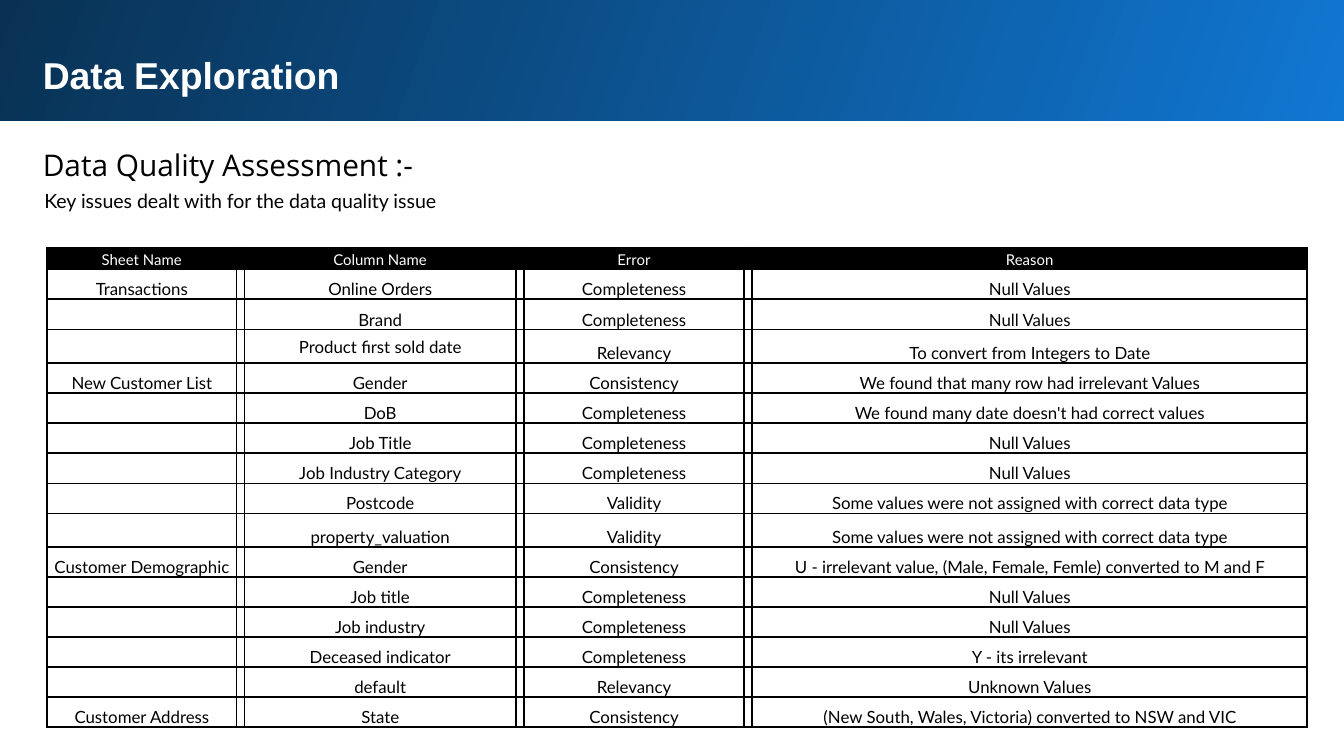
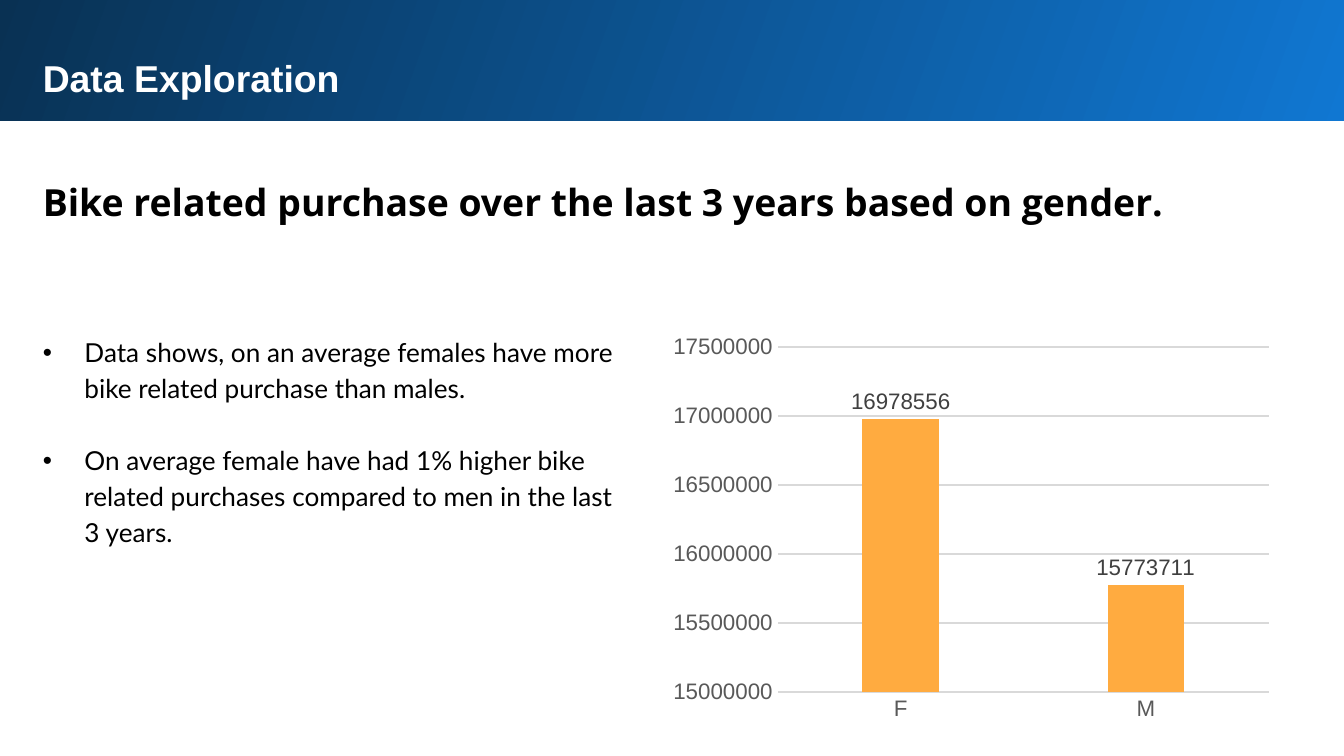
from lxml.etree import SubElement
from pptx import Presentation
from pptx.chart.data import CategoryChartData
from pptx.dml.color import RGBColor
from pptx.enum.chart import XL_CHART_TYPE, XL_LABEL_POSITION, XL_TICK_MARK
from pptx.enum.shapes import MSO_SHAPE
from pptx.enum.text import MSO_ANCHOR, PP_ALIGN
from pptx.oxml.ns import qn
from pptx.util import Inches, Pt

COLORS = {
    "bright": "1077D2", "deep": "093153", "white": "FFFFFF", "black": "000000",
    "bar": "FFAB40", "grid": "D9D9D9", "axis": "595959", "label": "404040",
}
HEADING, BODY, PLAIN = "Open Sans", "Lato", "Arial"


def rgb(name):
    return RGBColor.from_string(COLORS[name])


class Deck:
    """Holds the presentation, its style and the current slide."""

    def __init__(self):
        self.presentation = Presentation()
        self.presentation.slide_width = Inches(10)
        self.presentation.slide_height = Inches(10 * 9 / 16)

    def new_slide(self, title, title_top):
        layout = self.presentation.slide_layouts[6]
        self.slide = self.presentation.slides.add_slide(layout)
        self.band()
        self.text((0.22, title_top, 9.37, 0.51), [title], PLAIN, 20, "white", bold=True)

    def band(self):
        box = map(Inches, (-0.02, -0.02, 10.05, 0.92))
        shape = self.slide.shapes.add_shape(MSO_SHAPE.RECTANGLE, *box)
        shape.shadow.inherit = False
        shape.line.fill.background()
        shape.fill.gradient()
        shape.fill.gradient_angle = 160
        for stop, name in zip(shape.fill.gradient_stops, ("bright", "deep")):
            stop.color.rgb = rgb(name)

    def style_font(self, font, family, size, color, bold=False):
        font.name, font.size, font.bold = family, Pt(size), bold
        font.color.rgb = rgb(color)

    def text(self, box, lines, family, size, color="black", bold=False,
             inset=0.1, spacing=None, bullet_gap=None):
        shape = self.slide.shapes.add_textbox(*map(Inches, box))
        frame = shape.text_frame
        frame.word_wrap = True
        frame.margin_left = frame.margin_right = Inches(inset)
        frame.margin_top = frame.margin_bottom = Inches(inset)
        for index, line in enumerate(lines):
            paragraph = frame.add_paragraph() if index else frame.paragraphs[0]
            paragraph.line_spacing = spacing
            if bullet_gap is not None:
                if index:
                    paragraph.space_before = Pt(bullet_gap)
                self.bullet(paragraph)
            run = paragraph.add_run()
            run.text = line
            self.style_font(run.font, family, size, color, bold)

    def bullet(self, paragraph):
        properties = paragraph._p.get_or_add_pPr()
        properties.set("marL", str(Inches(0.31)))
        properties.set("indent", str(-Inches(0.31)))
        SubElement(properties, qn("a:buFont"), typeface=PLAIN)
        SubElement(properties, qn("a:buChar"), char="•")

    def table(self, left, top, widths, heights, rows):
        """Text goes in every second column; the ones between are narrow gaps."""
        frame = self.slide.shapes.add_table(
            len(heights), len(widths), Inches(left), Inches(top),
            Inches(sum(widths)), Inches(sum(heights)))
        table = frame.table
        table.first_row = table.horz_banding = False
        for column, width in zip(table.columns, widths):
            column.width = Inches(width)
        for row, height in zip(table.rows, heights):
            row.height = Inches(height)
        for row_index, values in enumerate(rows):
            for column_index in range(len(widths)):
                is_gap = column_index % 2
                value = "" if is_gap else values[column_index // 2]
                self.cell(table.cell(row_index, column_index), value, row_index == 0)
        return table

    def cell(self, cell, value, is_header):
        size = 8 if is_header else 9
        cell.margin_left = cell.margin_right = cell.margin_top = Inches(0.01)
        cell.margin_bottom = 0
        cell.vertical_anchor = MSO_ANCHOR.BOTTOM
        paragraph = cell.text_frame.paragraphs[0]
        paragraph.alignment = PP_ALIGN.CENTER
        if value:
            run = paragraph.add_run()
            run.text = value
            self.style_font(run.font, BODY, size, "white" if is_header else "black")
        else:
            # A small end mark keeps empty cells from stretching the row
            SubElement(paragraph._p, qn("a:endParaRPr"), sz=str(size * 100))
        # Borders come before the fill in the cell properties
        properties = cell._tc.get_or_add_tcPr()
        for side in ("lnL", "lnR", "lnT", "lnB"):
            line = SubElement(properties, qn(f"a:{side}"), w=str(Pt(1)))
            fill = SubElement(line, qn("a:solidFill"))
            SubElement(fill, qn("a:srgbClr"), val=COLORS["black"])
        if is_header:
            cell.fill.solid()
            cell.fill.fore_color.rgb = rgb("black")
        else:
            cell.fill.background()

    def column_chart(self, box, categories, values, scale, plot_box):
        data = CategoryChartData(number_format="General")
        data.categories = categories
        data.add_series("Series 1", values)
        chart = self.slide.shapes.add_chart(
            XL_CHART_TYPE.COLUMN_CLUSTERED, *map(Inches, box), data).chart
        chart.has_title = chart.has_legend = False
        self.style_font(chart.font, PLAIN, 10, "black")

        # Axes
        for axis in (chart.category_axis, chart.value_axis):
            axis.major_tick_mark = axis.minor_tick_mark = XL_TICK_MARK.NONE
            self.style_font(axis.tick_labels.font, PLAIN, 12, "axis")
        value_axis = chart.value_axis
        value_axis.minimum_scale, value_axis.maximum_scale, value_axis.major_unit = scale
        value_axis.format.line.fill.background()
        for line in (chart.category_axis.format.line,
                     value_axis.major_gridlines.format.line):
            line.color.rgb = rgb("grid")
            line.width = Pt(0.75)

        # Columns and their labels
        plot = chart.plots[0]
        plot.gap_width, plot.overlap = 219, -27
        plot.vary_by_categories = False
        series = plot.series[0]
        series.format.fill.solid()
        series.format.fill.fore_color.rgb = rgb("bar")
        labels = series.data_labels
        labels.show_value = True
        labels.position = XL_LABEL_POSITION.OUTSIDE_END
        self.style_font(labels.font, PLAIN, 12, "label")

        # Inner plot area, as fractions of the chart
        area = chart._chartSpace.chart.plotArea
        for old in area.findall(qn("c:layout")):
            area.remove(old)
        layout = SubElement(area, qn("c:layout"))
        area.insert(0, layout)
        manual = SubElement(layout, qn("c:manualLayout"))
        settings = [("layoutTarget", "inner"), ("xMode", "edge"), ("yMode", "edge")]
        settings += zip("xywh", map(str, plot_box))
        for tag, value in settings:
            SubElement(manual, qn(f"c:{tag}"), val=value)


deck = Deck()

# Slide 1: data quality table
deck.new_slide("Data Exploration", 0.29)
deck.text((0.22, 0.99, 9.32, 0.39), ["Data Quality Assessment :-"], HEADING, 16)
deck.text((0.28, 1.36, 5.29, 0.28),
          ["Key issues dealt with for the data quality issue"], BODY, 10.5, inset=0.05)
WRONG_TYPE = "Some values were not assigned with correct data type"
ISSUES = [
    ("Sheet Name", "Column Name", "Error", "Reason"),
    ("Transactions", "Online Orders", "Completeness", "Null Values"),
    ("", "Brand", "Completeness", "Null Values"),
    ("", "Product first sold date", "Relevancy", "To convert from Integers to Date"),
    ("New Customer List", "Gender", "Consistency",
     "We found that many row had irrelevant Values"),
    ("", "DoB", "Completeness", "We found many date doesn't had correct values"),
    ("", "Job Title", "Completeness", "Null Values"),
    ("", "Job Industry Category", "Completeness", "Null Values"),
    ("", "Postcode", "Validity", WRONG_TYPE),
    ("", "property_valuation", "Validity", WRONG_TYPE),
    ("Customer Demographic", "Gender", "Consistency",
     "U - irrelevant value, (Male, Female, Femle) converted to M and F"),
    ("", "Job title", "Completeness", "Null Values"),
    ("", "Job industry", "Completeness", "Null Values"),
    ("", "Deceased indicator", "Completeness", "Y - its irrelevant"),
    ("", "default", "Relevancy", "Unknown Values"),
    ("Customer Address", "State", "Consistency",
     "(New South, Wales, Victoria) converted to NSW and VIC"),
]
# Rows without a height of their own share the rest of the table equally
TABLE_HEIGHT = 3.57
special_heights = {0: 0.16, 2: 0.23, 3: 0.25, 9: 0.25}
shared_height = ((TABLE_HEIGHT - sum(special_heights.values()))
                 / (len(ISSUES) - len(special_heights)))
row_heights = [special_heights.get(index, shared_height) for index in range(len(ISSUES))]
issue_table = deck.table(0.35, 1.84, [1.41, 0.04, 2.02, 0.04, 1.64, 0.04, 4.13],
                         row_heights, ISSUES)
issue_table.cell(3, 2).vertical_anchor = MSO_ANCHOR.MIDDLE

# Slide 2: purchases by gender
deck.new_slide("Data Exploration", 0.31)
deck.text((0.22, 1.18, 9.37, 0.56),
          ["Bike related purchase over the last 3 years based on gender."],
          HEADING, 20, bold=True, spacing=1.15)
deck.text((0.22, 2.37, 4.52, 1.81), [
    "Data shows, on an average females have more bike related purchase than males.",
    "On average female have had 1% higher bike related purchases compared to men "
    "in the last 3 years.",
], BODY, 14, spacing=1.15, bullet_gap=19.3)
deck.column_chart((5.01, 2.37, 4.52, 3.02), ["F", "M"], [16978556, 15773711],
                  (15000000, 17500000, 500000), (0.17, 0.07, 0.81, 0.85))

deck.presentation.save("out.pptx")
